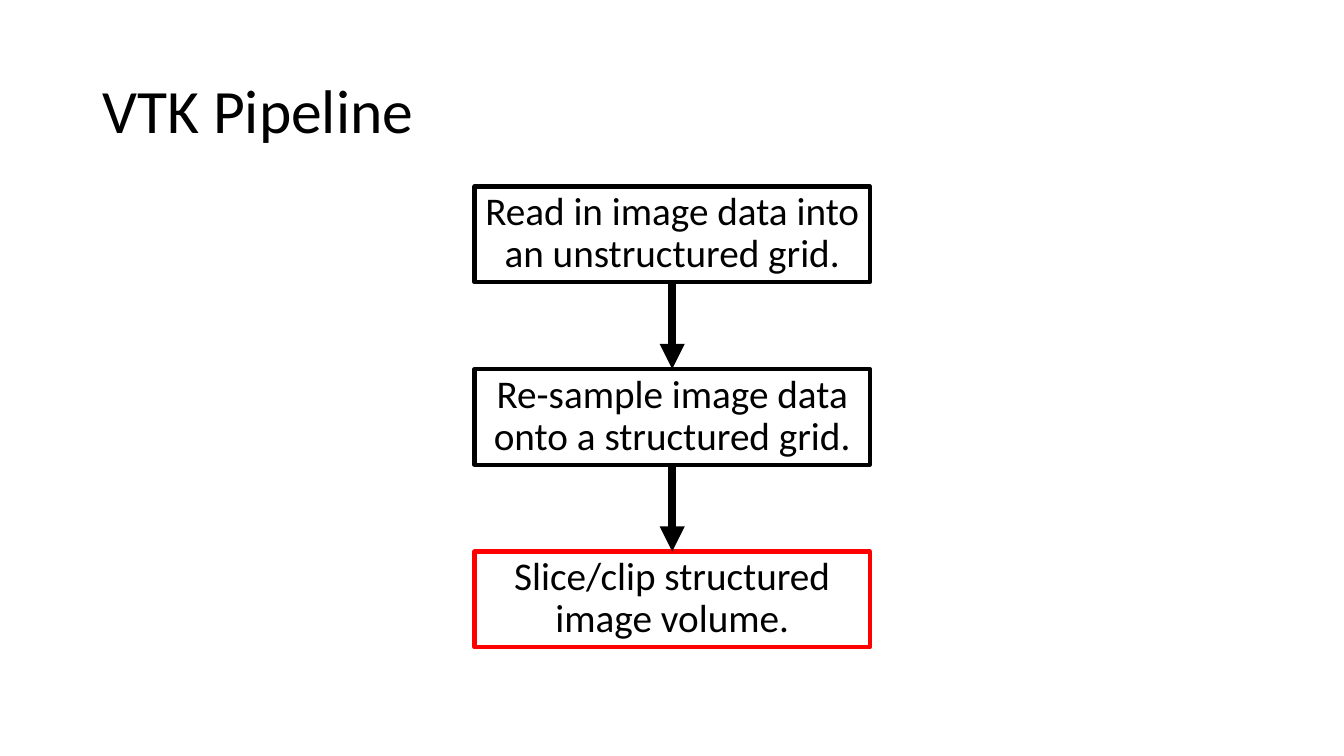
from dataclasses import dataclass

from pptx import Presentation
from pptx.dml.color import RGBColor
from pptx.enum.shapes import MSO_CONNECTOR as Connector, MSO_SHAPE as Shape
from pptx.enum.text import MSO_ANCHOR as Anchor, MSO_AUTO_SIZE as AutoSize, PP_ALIGN as Align
from pptx.oxml.ns import qn
from pptx.util import Cm, Pt
from lxml.etree import SubElement


@dataclass(frozen=True)
class Theme:
    """Colours, font and sizes of the slide."""
    font: str = "Calibri"
    ink: RGBColor = RGBColor(0, 0, 0)
    highlight: RGBColor = RGBColor(255, 0, 0)
    title_size: int = 44
    step_size: int = 28
    box_line: int = 3
    arrow_line: int = 6


theme = Theme()


def write_text(shape, text, size, align=Align.LEFT, anchor=Anchor.TOP, space_before=0):
    """Put one formatted, unbulleted paragraph into a shape."""
    frame = shape.text_frame
    frame.word_wrap = True
    frame.auto_size = AutoSize.NONE
    frame.vertical_anchor = anchor
    frame.margin_left = frame.margin_right = Cm(0.25)
    frame.margin_top = frame.margin_bottom = Cm(0.13)
    frame.text = text
    paragraph = frame.paragraphs[0]
    paragraph.alignment = align
    paragraph.line_spacing = 0.9
    paragraph.space_before = Pt(space_before)
    properties = paragraph._p.get_or_add_pPr()
    properties.set("marL", "0")
    properties.set("indent", "0")
    SubElement(properties, qn("a:buNone"))
    font = paragraph.runs[0].font
    font.name = theme.font
    font.size = Pt(size)
    font.color.rgb = theme.ink


presentation = Presentation()
presentation.slide_width = Cm(33.87)
presentation.slide_height = Cm(19.05)
slide = presentation.slides.add_slide(presentation.slide_layouts[1])

title = slide.shapes.title
title.left, title.top, title.width, title.height = Cm(2.33), Cm(1.01), Cm(29.21), Cm(3.68)
write_text(title, "VTK Pipeline", theme.title_size, anchor=Anchor.MIDDLE)

# Pipeline steps, evenly stacked
box_left, box_top, box_width, box_height = Cm(11.96), Cm(4.7), Cm(9.96), Cm(2.41)
step_pitch = Cm(4.6)
steps = [
    ("Read in image data into an unstructured grid.", theme.ink),
    ("Re-sample image data onto a structured grid.", theme.ink),
    ("Slice/clip structured image volume.", theme.highlight),
]
boxes = []
for index, (text, line_color) in enumerate(steps):
    position = (box_left, box_top + index * step_pitch, box_width, box_height)
    if index == 0:
        box = slide.placeholders[1]
        box.left, box.top, box.width, box.height = position
    else:
        box = slide.shapes.add_shape(Shape.RECTANGLE, *position)
        box.shadow.inherit = False
    box.fill.background()
    box.line.color.rgb = line_color
    box.line.width = Pt(theme.box_line)
    write_text(box, text, theme.step_size, align=Align.CENTER, space_before=10)
    boxes.append(box)

# Arrows from the bottom of each step to the top of the next
for upper, lower in zip(boxes, boxes[1:]):
    arrow = slide.shapes.add_connector(Connector.STRAIGHT, 0, 0, 0, 0)
    arrow.begin_connect(upper, 2)
    arrow.end_connect(lower, 0)
    arrow.line.color.rgb = theme.ink
    arrow.line.width = Pt(theme.arrow_line)
    SubElement(arrow.line._get_or_add_ln(), qn("a:tailEnd"), type="triangle")
    SubElement(arrow._element.spPr, qn("a:effectLst"))

presentation.save("out.pptx")
